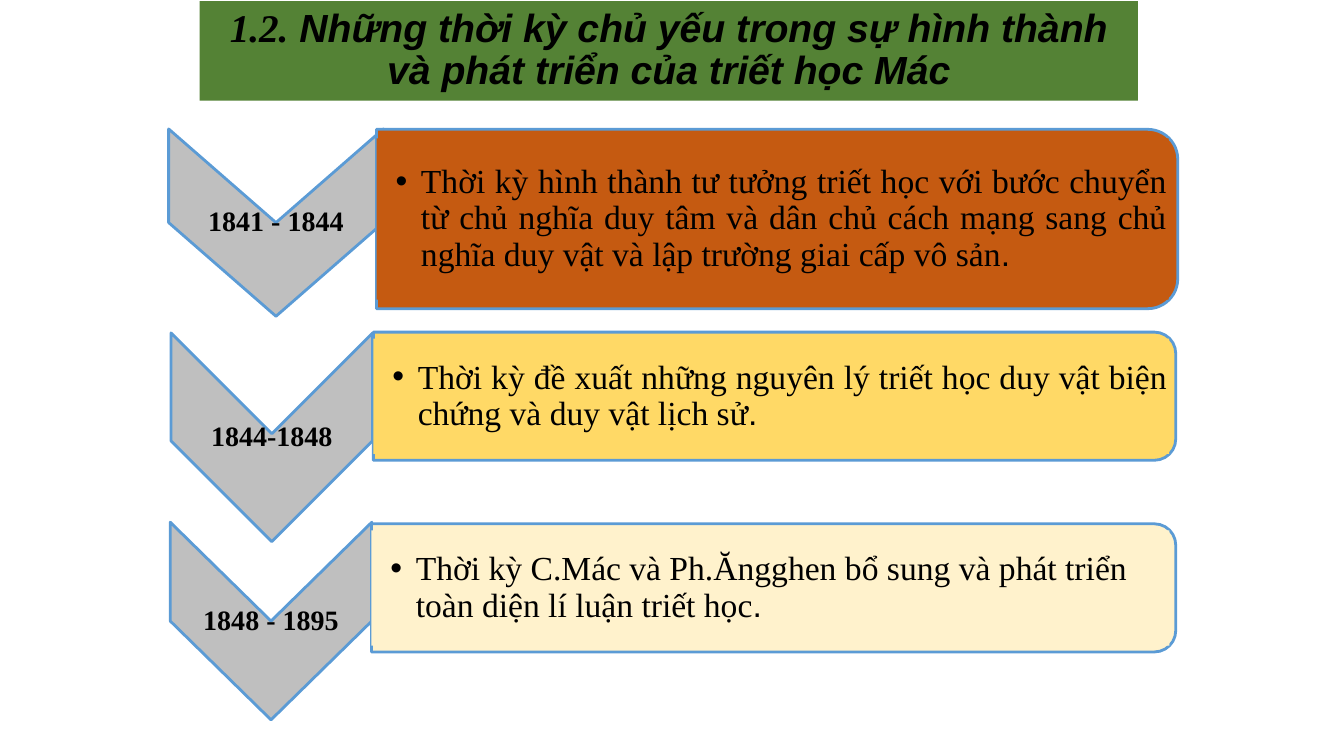
from lxml import etree
from pptx import Presentation
from pptx.dml.color import RGBColor
from pptx.enum.shapes import MSO_SHAPE as Preset
from pptx.enum.text import MSO_ANCHOR as Anchor, PP_ALIGN as Align
from pptx.oxml.ns import qn
from pptx.util import Cm, Pt

GREEN = RGBColor(0x54, 0x82, 0x35)
GREY = RGBColor(0xBF, 0xBF, 0xBF)
BLUE = RGBColor(0x5B, 0x9B, 0xD5)
ORANGE = RGBColor(0xC5, 0x5A, 0x11)
YELLOW = RGBColor(0xFF, 0xD9, 0x66)
CREAM = RGBColor(0xFF, 0xF2, 0xCC)
BLACK = RGBColor(0, 0, 0)
SERIF, SANS = "Times New Roman", "Arial"

deck = Presentation()
deck.slide_width, deck.slide_height = Cm(33.87), Cm(19.05)
page = deck.slides.add_slide(deck.slide_layouts[6])


def add_block(preset, box, fill, outlined=False, turned=False):
    """Add a filled shape that covers box (left, top, width, height in cm)."""
    left, top, width, height = box
    if turned:  # a quarter turn swaps the sides around the same centre
        left, top = left + (width - height) / 2, top + (height - width) / 2
        width, height = height, width
    block = page.shapes.add_shape(preset, Cm(left), Cm(top), Cm(width), Cm(height))
    block.rotation = 90 if turned else 0
    block.shadow.inherit = False
    block.fill.solid()
    block.fill.fore_color.rgb = fill
    if outlined:
        block.line.color.rgb = BLUE
        block.line.width = Pt(2)
    else:
        block.line.fill.background()
    return block


def write(box, spans, size, align, insets, bold=False, italic=False):
    """Fill a shape with one paragraph made of (text, font) spans."""
    frame = box.text_frame
    frame.word_wrap = True
    frame.vertical_anchor = Anchor.MIDDLE
    frame.margin_left, frame.margin_top, frame.margin_right, frame.margin_bottom = map(Cm, insets)
    para = frame.paragraphs[0]
    para.alignment = align
    para.line_spacing = 0.9
    for text, font in spans:
        span = para.add_run()
        span.text = text
        span.font.name = font
        span.font.size = Pt(size)
        span.font.bold, span.font.italic = bold, italic
        span.font.color.rgb = BLACK
    return para


# Title band
title = add_block(Preset.RECTANGLE, (5.03, 0.03, 23.65, 2.51), GREEN)
write(title,
      [("1.2.", SERIF),
       (" Những thời kỳ chủ yếu trong sự hình thành và phát triển của triết học Mác", SANS)],
      28, Align.CENTER, (0.61, 0, 0.61, 0), bold=True, italic=True)

# Periods: years, chevron box, bar box, colour, alignment, description
periods = [
    ("1841 - 1844", (4.25, 3.25, 5.41, 4.72), (9.49, 3.26, 20.19, 4.52), ORANGE, Align.JUSTIFY,
     "Thời kỳ hình thành tư tưởng triết học với bước chuyển từ chủ nghĩa duy tâm và dân chủ "
     "cách mạng sang chủ nghĩa duy vật và lập trường giai cấp vô sản"),
    ("1844-1848", (4.31, 8.39, 5.08, 5.26), (9.41, 8.37, 20.22, 3.23), YELLOW, Align.JUSTIFY,
     "Thời kỳ đề xuất những nguyên lý triết học duy vật biện chứng và duy vật lịch sử"),
    ("1848 - 1895", (4.29, 13.16, 5.08, 4.98), (9.36, 13.2, 20.27, 3.23), CREAM, Align.LEFT,
     "Thời kỳ C.Mác và Ph.Ăngghen bổ sung và phát triển toàn diện lí luận triết học"),
]

for years, chevron_box, bar_box, colour, align, description in periods:
    # Chevron pointing down, with the years at its centre
    add_block(Preset.CHEVRON, chevron_box, GREY, outlined=True, turned=True)
    label = page.shapes.add_textbox(*map(Cm, chevron_box))
    write(label, [(years, SERIF)], 20, Align.CENTER, (0.03,) * 4, bold=True)

    # Bar rounded on the right, with a text panel set inside its corners
    add_block(Preset.ROUND_2_SAME_RECTANGLE, bar_box, colour, outlined=True, turned=True)
    left, top, width, height = bar_box
    inset = 0.05 * height
    panel = add_block(Preset.RECTANGLE,
                      (left, top + inset, width - inset, height - 2 * inset), colour)
    para = write(panel, [(description, SERIF), (".", SANS)], 24, align,
                 (0.48, 0.05, 0.05, 0.05))

    # Bullet with a hanging indent
    props = para._p.get_or_add_pPr()
    props.set("marL", str(Cm(0.64)))
    props.set("indent", str(-Cm(0.64)))
    bullet_colour = etree.SubElement(props, qn("a:buClr"))
    etree.SubElement(bullet_colour, qn("a:srgbClr"), val=str(BLACK))
    etree.SubElement(props, qn("a:buFont"), typeface=SANS)
    etree.SubElement(props, qn("a:buChar"), char="•")

deck.save("out.pptx")
